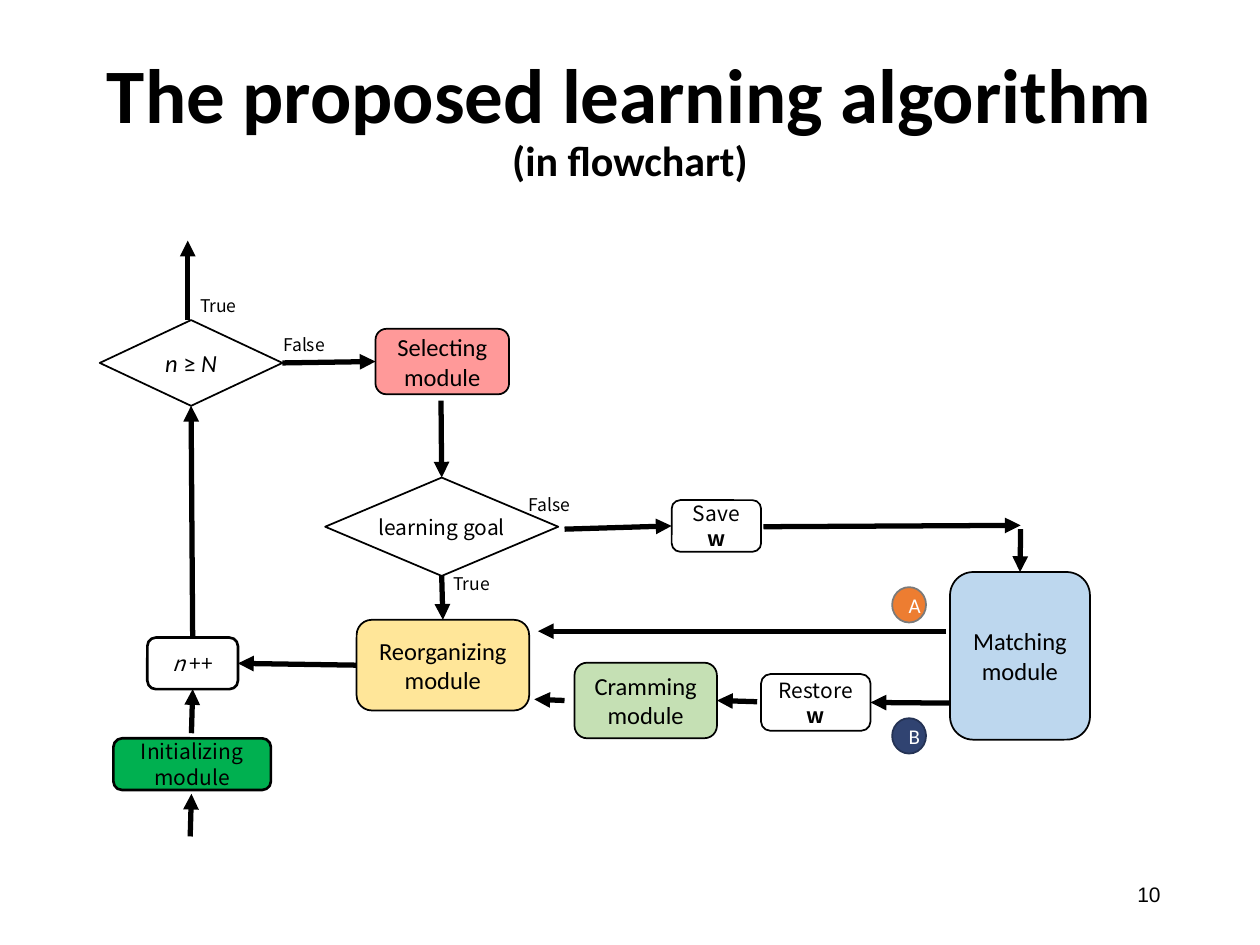
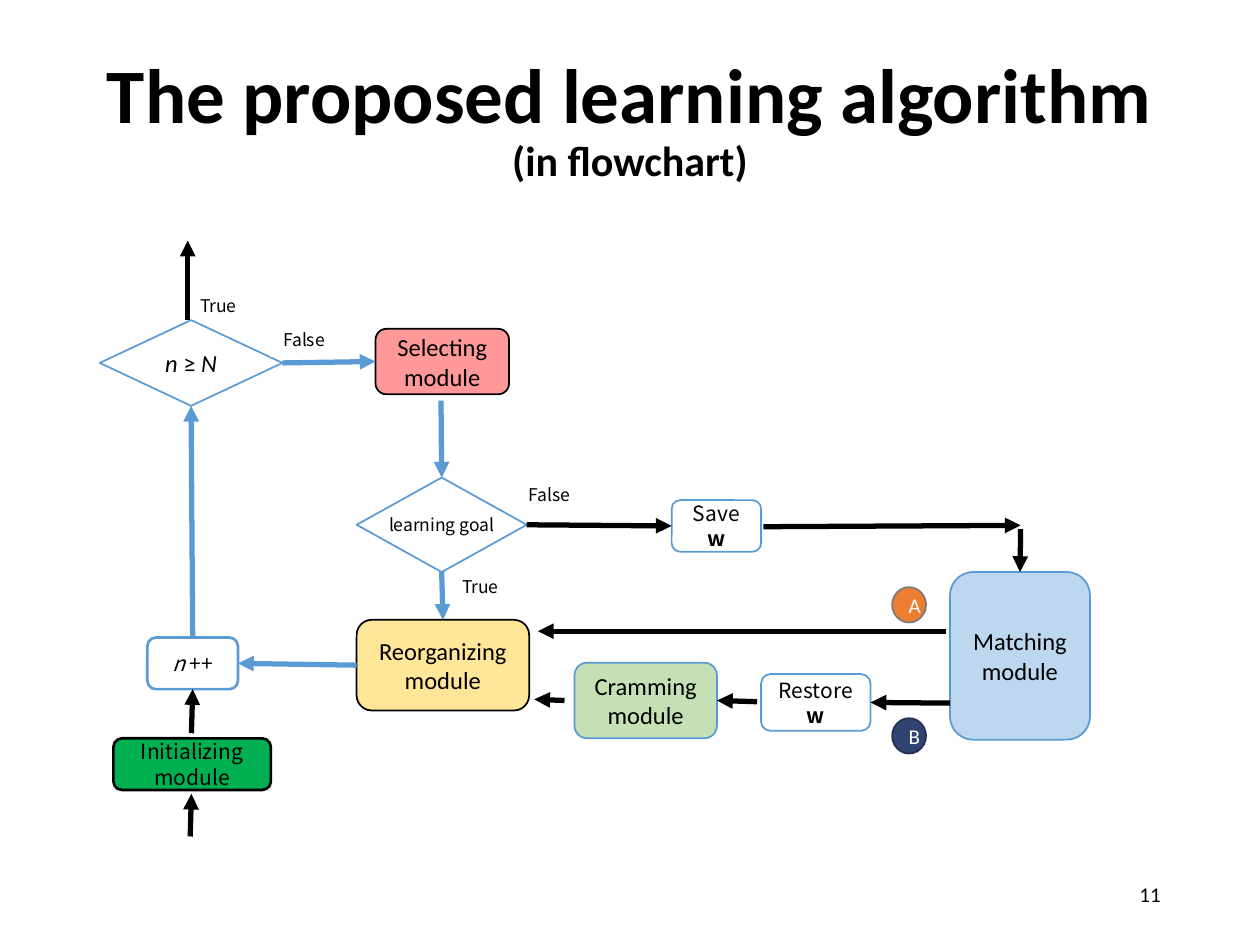
from pptx import Presentation
from pptx.dml.color import RGBColor
from pptx.enum import shapes, text
from pptx.oxml import ns, xmlchemy
from pptx.util import Pt

BLACK, WHITE, BLUE = "000000", "FFFFFF", "5B9BD5"
BODY, CJK, GOAL, FOOT = "Calibri", "Noto Sans CJK TC", "Noto Sans CJK SC", "Arial"
ROUND = shapes.MSO_SHAPE.ROUNDED_RECTANGLE
RHOMB = shapes.MSO_SHAPE.DIAMOND
OVAL = shapes.MSO_SHAPE.OVAL
LEFT, MID, RIGHT = text.PP_ALIGN.LEFT, text.PP_ALIGN.CENTER, text.PP_ALIGN.RIGHT
TOP, BOTTOM = 0, 2
WEST, EAST = 1, 3

NODES = {
    "count": (ROUND, (84.2, 364.3, 51.8, 29.5), WHITE, CJK, 12, [("n", "i"), (" ++", "")]),
    "check": (RHOMB, (57, 182.9, 104.4, 49), WHITE, BODY, 14,
              [("n ", "i"), ("≥ ", ""), ("N", "i")]),
    "save": (ROUND, (383.8, 285.8, 51.1, 29.5), WHITE, CJK, 12, [("Save ", ""), ("w", "b")]),
    "match": (ROUND, (542.9, 326.9, 80, 95.8), "BDD7EE", BODY, 14, [("Matching module", "")]),
    "cram": (ROUND, (328.3, 378.7, 81.4, 43.2), "C5E0B4", BODY, 14, [("Cramming module", "")]),
    "restore": (ROUND, (434.9, 385.2, 62.6, 32.4), WHITE, CJK, 12,
                [("Restore ", ""), ("w", "b")]),
    "select": (ROUND, (214.6, 187.9, 76.3, 37.4), "FF9999", BODY, 14, [("Selecting module", "")]),
    "reorg": (ROUND, (203.8, 354.2, 98.6, 51.8), "FFE699", BODY, 14,
              [("Reorganizing module", "")]),
    "init": (ROUND, (64.8, 421.9, 90, 29.5), "00B050", CJK, 12, [("Initializing module", "")]),
    "B": (OVAL, (509.8, 410.4, 19.4, 20.2), "304371", BODY, 12, [("B", "")]),
    "A": (OVAL, (509.8, 335.5, 19.4, 20.2), "ED7D31", BODY, 12, [("A", "")]),
}
EDGES = {"B": "243254", "A": "7A7A7A"}
THICK = {"count", "init"}
FIXED = {"select", "reorg", "init"}

LOOP = [
    (("goal", BOTTOM), ("reorg", TOP)),
    (("check", EAST), ("select", WEST)),
    (("count", TOP), ("check", BOTTOM)),
    (("reorg", WEST), ("count", EAST)),
    ((252, 229), ("goal", TOP)),
]
PATHS = [
    ((436.3, 301), (583.2, 300.2)),
    ((322.6, 400.3), (305.3, 399.6)),
    ((109.4, 419), ("count", BOTTOM)),
    ((540.7, 360.7), (307.4, 360.7)),
    ((432.7, 401), ("cram", EAST)),
    ((542.9, 401.8), ("restore", EAST)),
    ((107.3, 182.9), (107.3, 137.5)),
    ((583.2, 302.4), ("match", TOP)),
    ((108.7, 478), (109.4, 453.6)),
]


def paint(hue):
    return RGBColor.from_string(hue)


def add_run(para, words, font, size, hue=BLACK, style=""):
    run = para.add_run()
    run.text = words
    run.font.name = font
    run.font.size = Pt(size)
    run.font.color.rgb = paint(hue)
    run.font.bold = "b" in style
    run.font.italic = "i" in style


def fill_text(shape, runs, font, size, hue=BLACK, align=MID):
    frame = shape.text_frame
    frame.word_wrap = True
    para = frame.paragraphs[0]
    para.alignment = align
    if font in (CJK, GOAL):
        para.line_spacing = Pt(size * 1.2)
    for words, style in runs:
        add_run(para, words, font, size, hue, style)


def add_node(slide, kind, area, fill, font, size, runs, edge, width=1):
    node = slide.shapes.add_shape(kind, *map(Pt, area))
    node.shadow.inherit = False
    node.fill.solid()
    node.fill.fore_color.rgb = paint(fill)
    node.line.color.rgb = paint(edge)
    node.line.width = Pt(width)
    fill_text(node, runs, font, size, WHITE if kind == OVAL else BLACK)
    frame = node.text_frame
    frame.vertical_anchor = text.MSO_ANCHOR.MIDDLE
    if kind == RHOMB:
        frame.word_wrap = False
        frame.margin_left = frame.margin_right = Pt(3.6)
    return node


def add_arrow(slide, nodes, start, end, hue=BLACK):
    ends = [(0, 0) if isinstance(spot[0], str) else spot for spot in (start, end)]
    arrow = slide.shapes.add_connector(
        shapes.MSO_CONNECTOR.STRAIGHT, *(Pt(n) for spot in ends for n in spot))
    for spot, join in ((start, arrow.begin_connect), (end, arrow.end_connect)):
        if isinstance(spot[0], str):
            join(nodes[spot[0]], spot[1])
    arrow.line.color.rgb = paint(hue)
    arrow.line.width = Pt(3)
    props = arrow.element.spPr
    tip = xmlchemy.OxmlElement("a:tailEnd")
    tip.set("type", "triangle")
    props.find(ns.qn("a:ln")).append(tip)
    props.append(xmlchemy.OxmlElement("a:effectLst"))


def add_label(slide, words, left, top, framed=False):
    label = slide.shapes.add_textbox(Pt(left), Pt(top), Pt(39), Pt(19.4))
    fill_text(label, [(words, "")], CJK, 10, align=LEFT)
    label.text_frame.margin_right = 0
    if framed:
        label.line.color.rgb = paint(WHITE)
        label.line.width = Pt(0.75)


def add_title(slide):
    title = slide.shapes.title
    title.left, title.top, title.width, title.height = map(Pt, (49.7, 28.8, 620.6, 104.4))
    frame = title.text_frame
    frame.auto_size = text.MSO_AUTO_SIZE.NONE
    frame.vertical_anchor = text.MSO_ANCHOR.TOP
    lines = (("The proposed learning algorithm", 44), ("(in flowchart)", 24))
    for row, (words, size) in enumerate(lines):
        para = frame.add_paragraph() if row else frame.paragraphs[0]
        para.alignment = MID
        para.line_spacing = 0.9
        para.space_before = Pt(0)
        add_run(para, words, BODY, size, style="b")


def add_number(slide, number, font):
    box = slide.shapes.add_textbox(Pt(508.3), Pt(500.4), Pt(162), Pt(28.8))
    fill_text(box, [(str(number), "")], font, 12, align=RIGHT)


def add_chart(deck, number, font, hue, goal, size, branch, labels, framed):
    slide = deck.slides.add_slide(deck.slide_layouts[5])
    add_title(slide)
    nodes = {}
    for name, (kind, area, fill, face, points, runs) in NODES.items():
        edge = EDGES.get(name, BLACK if name in FIXED else hue)
        width = 1.5 if name in THICK else 1
        nodes[name] = add_node(slide, kind, area, fill, face, points, runs, edge, width)
    nodes["goal"] = add_node(slide, RHOMB, goal, WHITE, GOAL, size,
                             [("learning goal", "")], hue)
    for start, end in LOOP:
        add_arrow(slide, nodes, start, end, hue)
    for start, end in PATHS + [(branch, ("save", WEST))]:
        add_arrow(slide, nodes, start, end)
    for words, left, top in labels:
        add_label(slide, words, left, top, framed)
    add_label(slide, "True", 107.3, 164.9)
    add_number(slide, number, font)


def main():
    deck = Presentation()
    deck.slide_width, deck.slide_height = Pt(720), Pt(540)
    add_chart(deck, 10, FOOT, BLACK, (185.8, 272.9, 133.2, 56.2), 12, (322.6, 302.4),
              [("False", 295.2, 278.6), ("True", 252, 324), ("False", 154.8, 187.2)], False)
    add_chart(deck, 11, BODY, BLUE, (203.8, 272.9, 97.2, 54), 10, ("goal", EAST),
              [("False", 295.2, 272.9), ("True", 257, 325.4), ("False", 154.8, 184.3)], True)
    deck.save("out.pptx")


if __name__ == "__main__":
    main()
